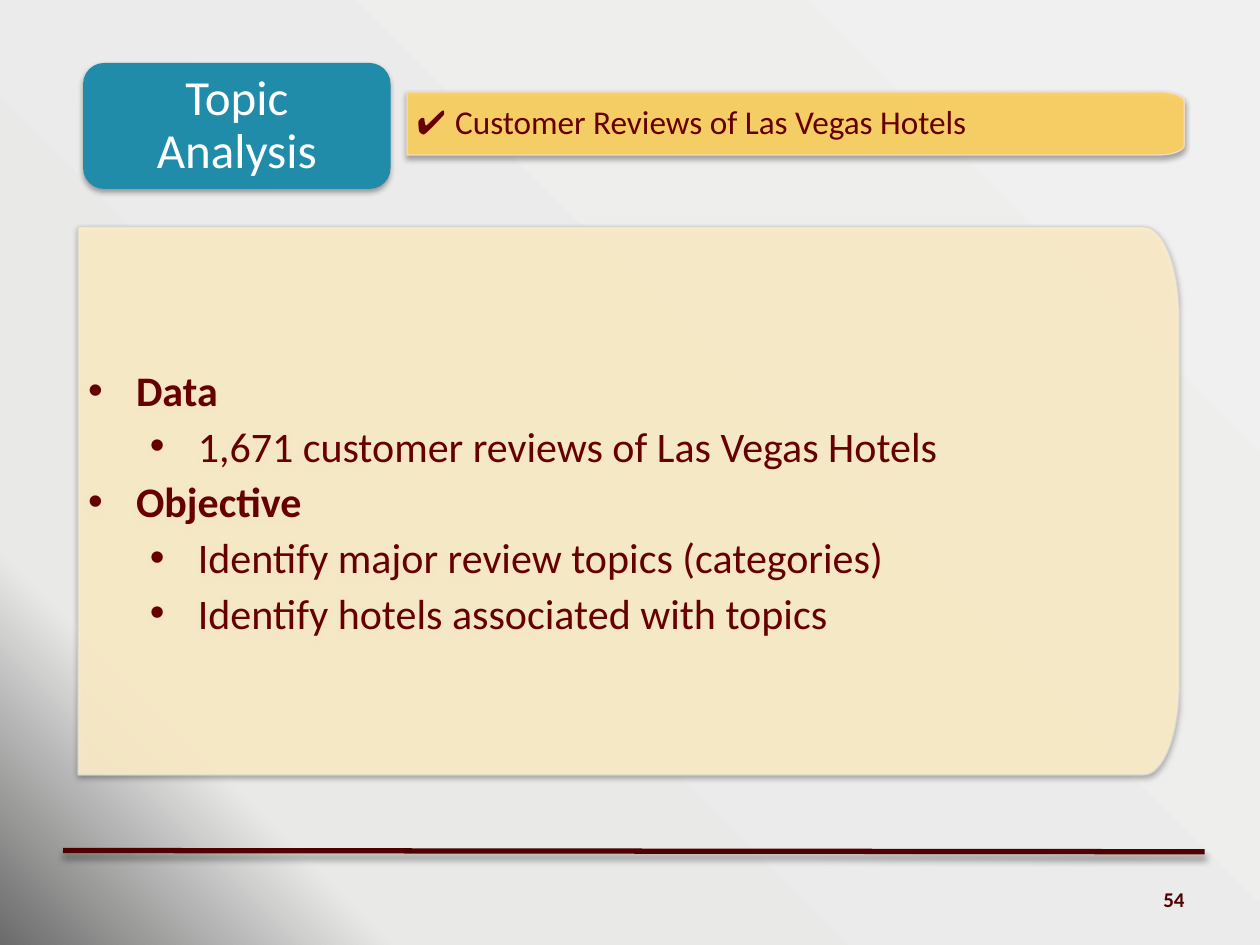
"""Build the topic analysis slide on hotel reviews."""
from math import cos, pi, sin

from lxml import etree
from pptx import Presentation
from pptx.dml.color import RGBColor
from pptx.enum.shapes import MSO_CONNECTOR, MSO_SHAPE
from pptx.enum.text import MSO_ANCHOR, PP_ALIGN
from pptx.oxml import parse_xml
from pptx.oxml.ns import nsdecls, qn
from pptx.util import Inches, Pt

MAROON = RGBColor(0x50, 0x00, 0x00)
DARK_RED = RGBColor(0x66, 0x00, 0x00)
TEAL = RGBColor(0x20, 0x8C, 0xAA)
GOLD = RGBColor(0xFF, 0xD2, 0x5F)
CREAM = RGBColor(0xFF, 0xF0, 0xCA)
PEACH = RGBColor(0xF7, 0xDE, 0xC6)
SILVER = RGBColor(0xD6, 0xD6, 0xD5)
WHITE = RGBColor(0xFF, 0xFF, 0xFF)

BACKGROUND_STOPS = [(0, "F0F0F0"), (82, "E9E9E8"), (100, "6B6B6B")]
POINTS = [
    ("Data", 0),
    ("1,671 customer reviews of Las Vegas Hotels", 1),
    ("Objective", 0),
    ("Identify major review topics (categories)", 1),
    ("Identify hotels associated with topics", 1),
]
PANEL_INSETS = (0.08, 0.1, 0.14, 0.1)


def set_background(slide):
    """Fill the background with a gradient radiating from the top right."""
    stops = "".join(
        f'<a:gs pos="{position * 1000}"><a:srgbClr val="{color}"/></a:gs>'
        for position, color in BACKGROUND_STOPS
    )
    background = parse_xml(
        f'<p:bg {nsdecls("p", "a")}><p:bgPr><a:gradFill rotWithShape="1">'
        f'<a:gsLst>{stops}</a:gsLst><a:path path="circle">'
        '<a:fillToRect l="100000" b="100000"/></a:path></a:gradFill>'
        "<a:effectLst/></p:bgPr></p:bg>"
    )
    slide.element.cSld.insert(0, background)


def add_shadow(shape, opacity=35, blur=3.1, distance=1.8):
    """Give a shape or connector a soft black shadow below it."""
    shape.element.spPr.append(parse_xml(
        f'<a:effectLst {nsdecls("a")}><a:outerShdw blurRad="{Pt(blur)}" '
        f'dist="{Pt(distance)}" dir="5400000" rotWithShape="0">'
        f'<a:srgbClr val="000000"><a:alpha val="{opacity * 1000}"/></a:srgbClr>'
        "</a:outerShdw></a:effectLst>"
    ))


def set_opacity(shape, percent):
    """Make the fill and outline colours partly transparent."""
    for color in shape.element.spPr.iter(qn("a:srgbClr")):
        etree.SubElement(color, qn("a:alpha"), val=str(percent * 1000))


def set_frame(shape, insets):
    """Wrap and centre text vertically, and return the text frame."""
    frame = shape.text_frame
    frame.word_wrap = True
    frame.vertical_anchor = MSO_ANCHOR.MIDDLE
    (frame.margin_left, frame.margin_top,
     frame.margin_right, frame.margin_bottom) = map(Inches, insets)
    return frame


def format_font(font, size, color, bold=False, name="Calibri"):
    """Set the typeface, size, colour and weight."""
    font.name = name
    font.size = Pt(size)
    font.color.rgb = color
    font.bold = bold


def add_panel(slide, left, top, width, height, radius_x, radius_y, fill, outline):
    """Add a panel whose right corners are elliptical."""
    steps = 16
    angles = [pi / 2 * step / steps for step in range(steps + 1)]
    center_x = left + width - radius_x
    upper = [(center_x + radius_x * sin(angle),
              top + radius_y * (1 - cos(angle))) for angle in angles]
    lower = [(x, 2 * top + height - y) for x, y in reversed(upper)]
    builder = slide.shapes.build_freeform(Inches(left), Inches(top))
    corners = upper + lower + [(left, top + height)]
    builder.add_line_segments([(Inches(x), Inches(y)) for x, y in corners])
    panel = builder.convert_to_shape()
    panel.fill.solid()
    panel.fill.fore_color.rgb = fill
    panel.line.color.rgb = outline
    panel.line.width = Pt(0.75)
    set_opacity(panel, 90)
    add_shadow(panel)
    return panel


def add_heading(slide):
    """Add the rounded heading box."""
    box = slide.shapes.add_shape(
        MSO_SHAPE.ROUNDED_RECTANGLE,
        Inches(0.66), Inches(0.5), Inches(2.44), Inches(1))
    box.fill.solid()
    box.fill.fore_color.rgb = TEAL
    box.line.fill.background()
    add_shadow(box)
    frame = set_frame(box, (0.21, 0.14, 0.21, 0.14))
    frame.text = "Topic Analysis"
    paragraph = frame.paragraphs[0]
    paragraph.alignment = PP_ALIGN.CENTER
    paragraph.line_spacing = 0.9
    format_font(paragraph.runs[0].font, 28, WHITE)


def add_subject_bar(slide):
    """Add the gold bar naming the data set."""
    bar = add_panel(slide, 3.23, 0.73, 6.17, 0.5, 0.2, 0.08, GOLD, PEACH)
    paragraph = set_frame(bar, PANEL_INSETS).paragraphs[0]
    paragraph.alignment = PP_ALIGN.LEFT
    paragraph.line_spacing = 0.9
    for text, name in [("✔ ", "Arial"),
                       ("Customer Reviews of Las Vegas Hotels", "Calibri")]:
        run = paragraph.add_run()
        run.text = text
        format_font(run.font, 19, DARK_RED, name=name)


def add_bullet(paragraph, indent):
    """Give a paragraph a hanging round bullet."""
    properties = paragraph._p.get_or_add_pPr()
    properties.set("marL", str(Inches(indent)))
    properties.set("indent", str(Inches(-0.38)))
    etree.SubElement(properties, qn("a:buFont"), typeface="Arial")
    etree.SubElement(properties, qn("a:buChar"), char="•")


def add_points(slide):
    """Add the cream panel with its two-level list."""
    panel = add_panel(slide, 0.62, 1.8, 8.74, 4.35, 0.28, 0.72, CREAM, SILVER)
    frame = set_frame(panel, PANEL_INSETS)
    frame.text = "\n".join(text for text, _ in POINTS)
    for paragraph, (_, level) in zip(frame.paragraphs, POINTS):
        paragraph.level = level
        paragraph.alignment = PP_ALIGN.LEFT
        paragraph.space_after = Pt(3)
        add_bullet(paragraph, 0.87 if level else 0.38)
        format_font(paragraph.runs[0].font, 24, DARK_RED, bold=level == 0)


def add_footer(slide):
    """Add the footer rule and the slide number."""
    rule = slide.shapes.add_connector(
        MSO_CONNECTOR.STRAIGHT,
        Inches(0.5), Inches(6.75), Inches(9.56), Inches(6.76))
    rule.line.color.rgb = MAROON
    rule.line.width = Pt(3)
    add_shadow(rule, opacity=40, blur=4, distance=3)
    number = slide.shapes.add_textbox(
        Inches(7.17), Inches(6.94), Inches(2.33), Inches(0.4))
    frame = set_frame(number, (0.1, 0.05, 0.1, 0.05))
    frame.text = "54"
    paragraph = frame.paragraphs[0]
    paragraph.alignment = PP_ALIGN.RIGHT
    format_font(paragraph.runs[0].font, 12, MAROON, bold=True)


def main():
    """Build and save the presentation."""
    presentation = Presentation()
    presentation.slide_width = Inches(10)
    presentation.slide_height = Inches(7.5)
    slide = presentation.slides.add_slide(presentation.slide_layouts[6])
    set_background(slide)
    add_heading(slide)
    add_subject_bar(slide)
    add_points(slide)
    add_footer(slide)
    presentation.save("out.pptx")


if __name__ == "__main__":
    main()
